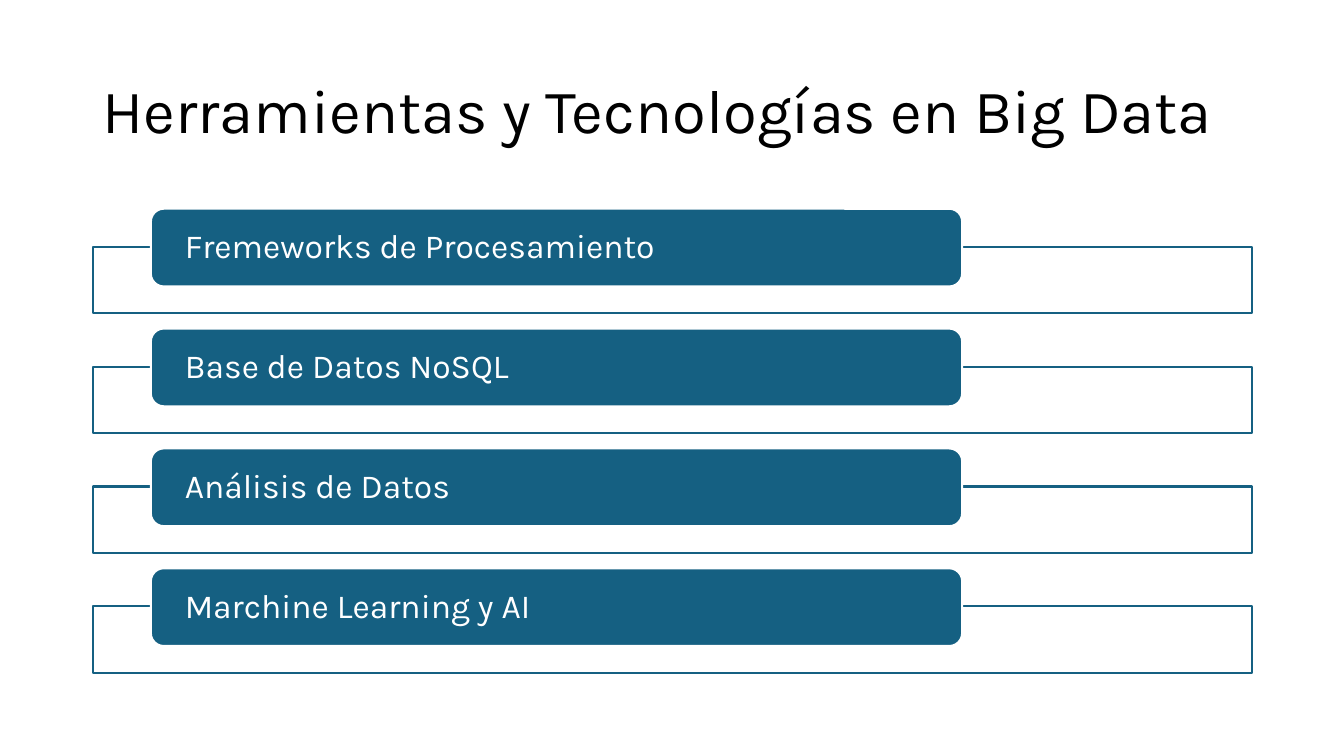
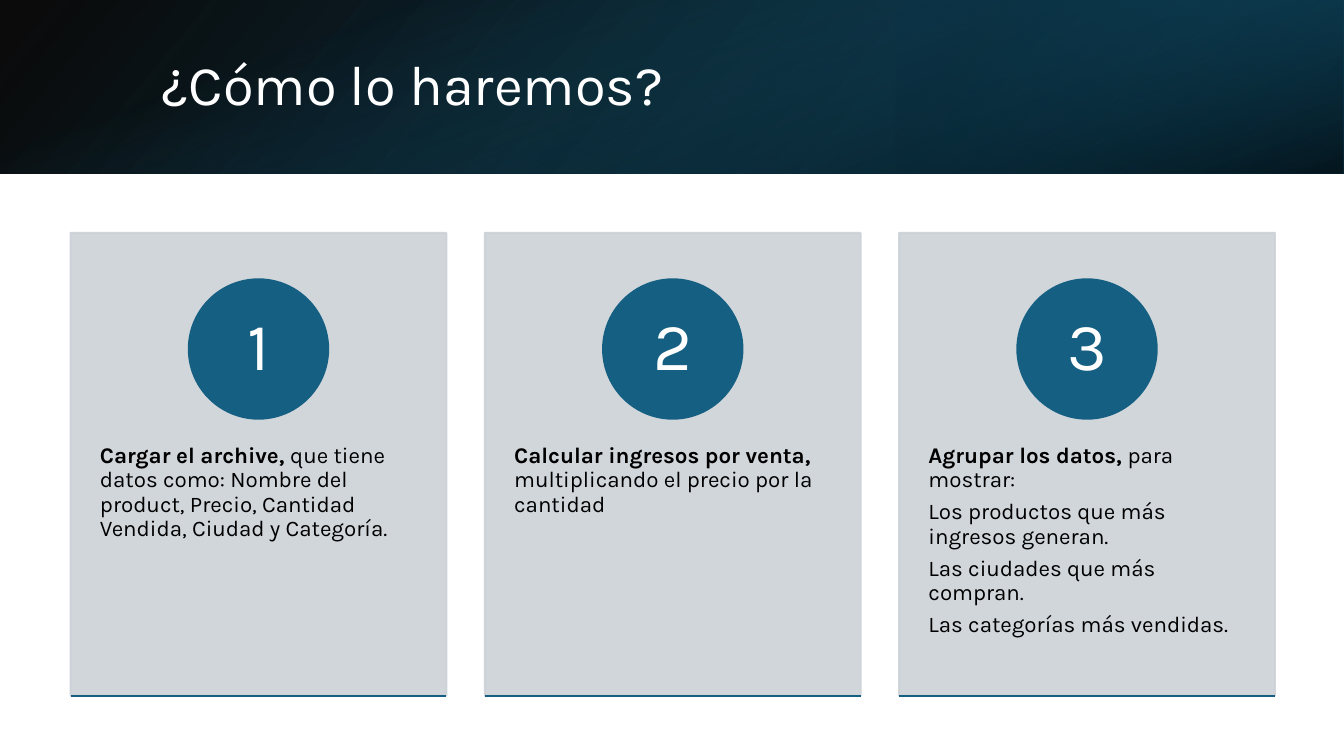
from pptx import Presentation
from pptx.dml.color import RGBColor
from pptx.enum.shapes import MSO_CONNECTOR, MSO_SHAPE
from pptx.enum.text import MSO_ANCHOR as Anchor, PP_ALIGN as Align
from pptx.oxml.ns import qn
from pptx.util import Cm, Pt
from lxml.etree import SubElement

WHITE = RGBColor(0xFF, 0xFF, 0xFF)
BLACK = RGBColor(0x00, 0x00, 0x00)
BLUE = RGBColor(0x15, 0x60, 0x82)
DEEP_BLUE = RGBColor(0x10, 0x48, 0x62)
NIGHT_BLUE = RGBColor(0x0B, 0x30, 0x41)
GREY = RGBColor(0xCC, 0xD2, 0xD8)

SLIDE_WIDTH, SLIDE_HEIGHT = 33.87, 19.05
BAND_HEIGHT = 4.37

TOOLS = [
    "Fremeworks de Procesamiento",
    "Base de Datos NoSQL",
    "Análisis de Datos",
    "Marchine Learning y AI",
]

# Each step: bold lead, then its paragraphs; the lead opens the first one
STEPS = [
    ("Cargar el archive, ",
     ["que tiene datos como: Nombre del product, Precio, Cantidad Vendida, "
      "Ciudad y Categoría."]),
    ("Calcular ingresos por venta, ",
     ["multiplicando el precio por la cantidad"]),
    ("Agrupar los datos, ",
     ["para mostrar:",
      "Los productos que más ingresos generan.",
      "Las ciudades que más compran.",
      "Las categorías más vendidas."]),
]


class Deck:
    """Holds the shared style and the current slide; lengths are in cm."""

    font = "Karla"
    line_width = Pt(1.5)
    line_spacing = 0.9

    def __init__(self):
        self.prs = Presentation()
        self.prs.slide_width = Cm(SLIDE_WIDTH)
        self.prs.slide_height = Cm(SLIDE_HEIGHT)
        self.slide = None

    def new_slide(self):
        self.slide = self.prs.slides.add_slide(self.prs.slide_layouts[6])

    def set_opacity(self, shape, percents):
        """Give the shape's colours, fill before line, their opacity."""
        for color, percent in zip(shape.element.iter(qn("a:srgbClr")), percents):
            SubElement(color, qn("a:alpha")).set("val", str(percent * 1000))

    def box(self, kind, area, fill, line, opacity=None):
        shape = self.slide.shapes.add_shape(kind, *map(Cm, area))
        shape.shadow.inherit = False
        shape.fill.solid()
        shape.fill.fore_color.rgb = fill
        shape.line.color.rgb = line
        shape.line.width = self.line_width
        if opacity is not None:
            self.set_opacity(shape, opacity)
        return shape

    def gradient(self, area, stops, angle, rotation=0, mirrored=False):
        """Stops are (position, colour, opacity); angle runs counter-clockwise."""
        shape = self.slide.shapes.add_shape(MSO_SHAPE.RECTANGLE, *map(Cm, area))
        shape.shadow.inherit = False
        shape.line.fill.background()
        shape.fill.gradient()
        shape.fill.gradient_angle = angle
        for stop, (position, color, _) in zip(shape.fill.gradient_stops, stops):
            stop.position = position
            stop.color.rgb = color
        self.set_opacity(shape, [opacity for _, _, opacity in stops])
        shape.rotation = rotation
        if mirrored:
            shape.element.spPr.find(qn("a:xfrm")).set("flipH", "1")

    def rule(self, left, top, width, color):
        line = self.slide.shapes.add_connector(
            MSO_CONNECTOR.STRAIGHT, Cm(left), Cm(top), Cm(left + width), Cm(top))
        line.line.color.rgb = color
        line.line.width = self.line_width
        SubElement(line.element.spPr, qn("a:effectLst"))

    def set_text(self, shape, paragraphs, size, color, insets=(0.25, 0.13, 0.25, 0.13),
                 align=Align.LEFT, anchor=Anchor.MIDDLE, lead=None, space_after=0):
        frame = shape.text_frame
        frame.word_wrap = True
        frame.vertical_anchor = anchor
        (frame.margin_left, frame.margin_top,
         frame.margin_right, frame.margin_bottom) = map(Cm, insets)
        frame.text = "\n".join(paragraphs)
        if lead:
            first = frame.paragraphs[0]
            first.text = lead
            first.runs[0].font.bold = True
            first.add_run().text = paragraphs[0]
        for paragraph in frame.paragraphs:
            paragraph.alignment = align
            paragraph.line_spacing = self.line_spacing
            paragraph.space_after = Pt(space_after)
            for run in paragraph.runs:
                run.font.name = self.font
                run.font.size = Pt(size)
                run.font.color.rgb = color

    def title(self, text, area, size, color):
        title = self.slide.shapes.add_textbox(*map(Cm, area))
        self.set_text(title, [text], size, color)

    def title_band(self):
        self.gradient((0, 0, SLIDE_WIDTH, BAND_HEIGHT),
                      [(0, BLACK, 96), (1, DEEP_BLUE, 100)], 220, mirrored=True)
        third = SLIDE_WIDTH / 3
        self.gradient((2 * third, 0, third, BAND_HEIGHT),
                      [(0.19, NIGHT_BLUE, 68), (1, BLUE, 79)], 40,
                      rotation=180, mirrored=True)
        # A quarter turn lays this upright strip over the whole band
        offset = (SLIDE_WIDTH - BAND_HEIGHT) / 2
        self.gradient((offset, -offset, BAND_HEIGHT, SLIDE_WIDTH),
                      [(0.23, BLUE, 0), (0.99, BLACK, 74)], 20, rotation=90)

    def tool(self, text, left, top, width):
        self.box(MSO_SHAPE.RECTANGLE, (left, top + 0.96, width, 1.68),
                 WHITE, BLUE, opacity=[90])
        label = self.box(MSO_SHAPE.ROUNDED_RECTANGLE,
                         (left + 0.05 * width, top, 0.7 * width, 1.96), BLUE, WHITE)
        self.set_text(label, [text], 24, WHITE, insets=(0.76, 0, 0.76, 0))

    def step(self, number, lead, paragraphs, left):
        top, width, height, diameter = 5.87, 9.47, 11.66, 3.51
        card = self.box(MSO_SHAPE.RECTANGLE, (left, top, width, height),
                        GREY, GREY, opacity=[90, 90])
        self.set_text(card, paragraphs, 16, BLACK, insets=(0.74, 5.33, 0.74, 1.17),
                      anchor=Anchor.TOP, lead=lead, space_after=5.6)
        circle = self.box(MSO_SHAPE.OVAL,
                          (left + (width - diameter) / 2, top + 1.17, diameter, diameter),
                          BLUE, BLUE)
        self.set_text(circle, [str(number)], 48, WHITE, insets=(0.28, 0.03, 0.28, 0.03),
                      align=Align.CENTER)
        self.rule(left, top + height, width, BLUE)


def main():
    deck = Deck()

    deck.new_slide()
    deck.title("Herramientas y Tecnologías en Big Data",
               (2.34, 1.02, 29.21, 3.68), 44, BLACK)
    for row, tool in enumerate(TOOLS):
        deck.tool(tool, left=2.34, top=5.26 + 3.02 * row, width=29.21)

    deck.new_slide()
    deck.title_band()
    deck.title("¿Cómo lo haremos?", (3.81, 0.97, 27.89, 2.44), 40, WHITE)
    for column, (lead, paragraphs) in enumerate(STEPS):
        deck.step(column + 1, lead, paragraphs, left=1.78 + 10.44 * column)

    deck.prs.save("out.pptx")


if __name__ == "__main__":
    main()
